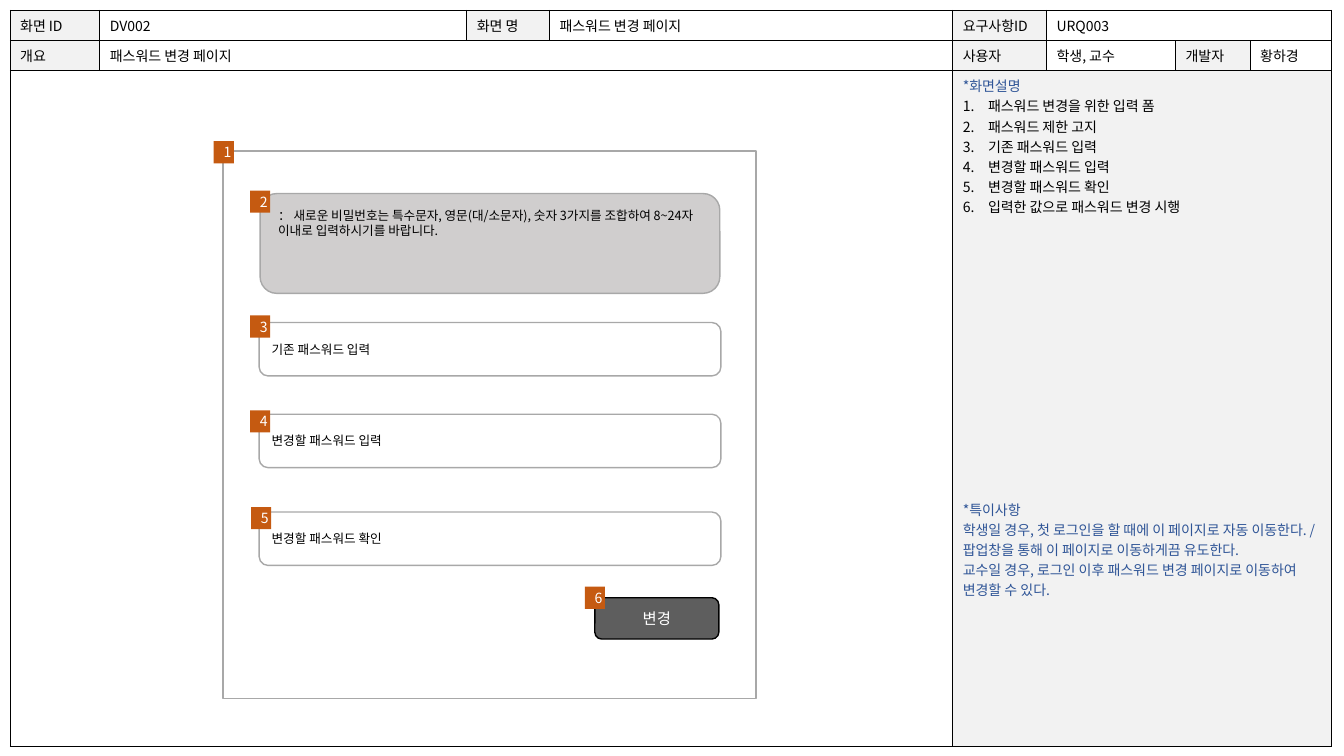
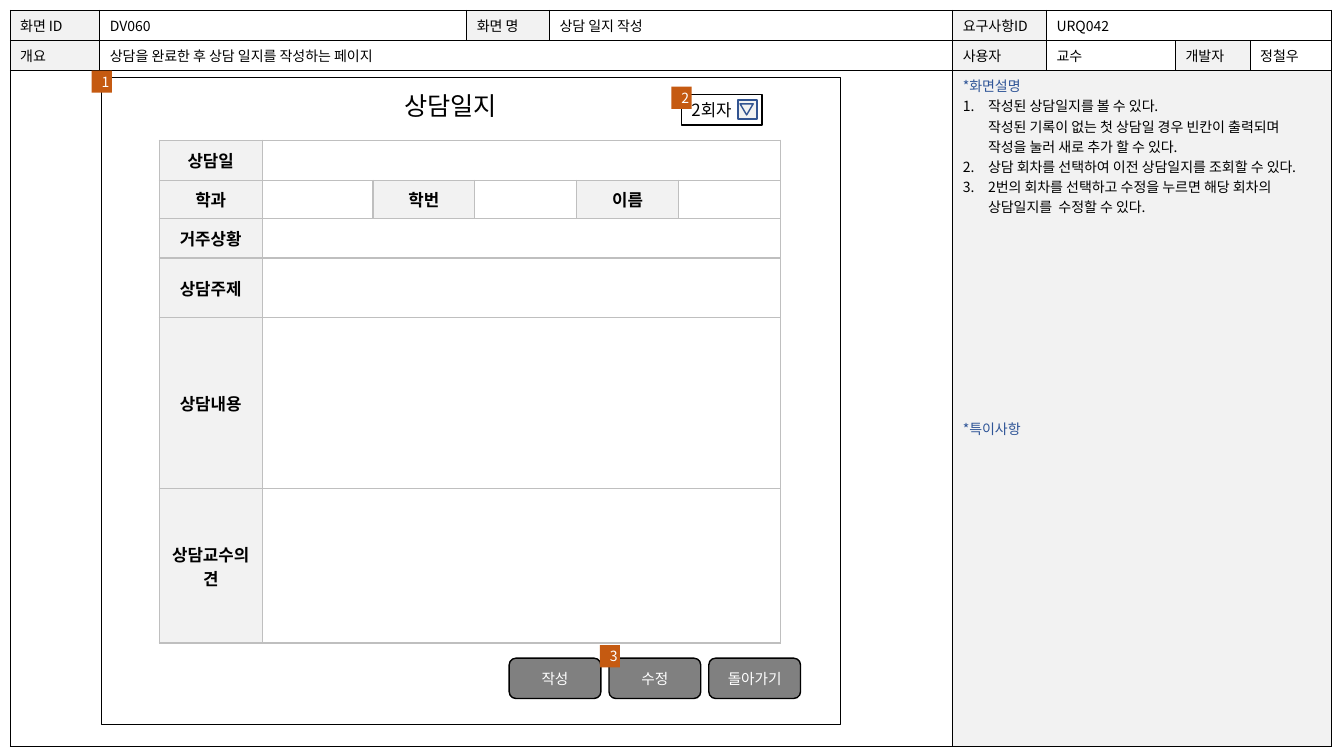
"""Build two screen-specification pages with a shared header grid and notes panel."""
import lxml.etree
import pptx
import pptx.dml.color
import pptx.enum.shapes
import pptx.enum.text
import pptx.oxml.ns
import pptx.util

SCALE = 9144
FONT = "Noto Sans CJK KR"
LINE_HEIGHT = 14.4

RGB = pptx.dml.color.RGBColor
BLACK = RGB(0x00, 0x00, 0x00)
WHITE = RGB(0xFF, 0xFF, 0xFF)
PANEL = RGB(0xF2, 0xF2, 0xF2)
NOTICE = RGB(0xD0, 0xCE, 0xCE)
OUTLINE = RGB(0xA8, 0xA8, 0xA8)
GRID = RGB(0xBF, 0xBF, 0xBF)
BLUE = RGB(0x2F, 0x55, 0x97)
ARROW_BLUE = RGB(0x32, 0x54, 0x91)
ORANGE = RGB(0xC5, 0x5A, 0x11)
DARK_BUTTON = RGB(0x5E, 0x5E, 0x5E)
GRAY_BUTTON = RGB(0x80, 0x80, 0x80)

SHAPE = pptx.enum.shapes.MSO_SHAPE
ALIGN = pptx.enum.text.PP_ALIGN
ANCHOR = pptx.enum.text.MSO_ANCHOR
FIT = pptx.enum.text.MSO_AUTO_SIZE

SPEC_COLUMNS = (89, 364, 82, 400, 93, 128, 74, 81)
SPEC_ROWS = (28, 29, 670)
SPEC_LABELS = {(0, 0): "화면 ID", (0, 2): "화면 명", (0, 4): "요구사항ID",
               (1, 0): "개요", (1, 4): "사용자", (1, 6): "개발자"}
SPEC_MERGES = ((0, 5, 7), (1, 1, 3), (2, 0, 3), (2, 4, 7))
NOTES_CELL = (2, 4)

JOURNAL_COLUMNS = (102, 110, 101, 101, 101, 101)
JOURNAL_ROWS = (40, 38, 39, 59, 170, 153)
JOURNAL_LABELS = {(0, 0): "상담일", (1, 0): "학과", (1, 2): "학번", (1, 4): "이름",
                  (2, 0): "거주상황", (3, 0): "상담주제", (4, 0): "상담내용",
                  (5, 0): "상담교수의견"}
JOURNAL_MERGES = tuple((row, 1, 5) for row in (0, 2, 3, 4, 5))


def px(*lengths):
    """Turn whole px lengths into EMU."""
    return [pptx.util.Emu(length * SCALE) for length in lengths]


def add_element(parent, tag, **attributes):
    """Append a DrawingML element with the given attributes."""
    return lxml.etree.SubElement(parent, pptx.oxml.ns.qn(tag), attributes)


def write(para, text, size=10, color=BLACK, bold=False, align=ALIGN.LEFT):
    """Put formatted text, with its line breaks, into a paragraph."""
    para.text = text
    para.alignment = align
    formats = {"size": pptx.util.Pt(size), "name": FONT, "bold": bold}
    for span in para.runs:
        for name, value in formats.items():
            setattr(span.font, name, value)
        span.font.color.rgb = color
        add_element(span.font._element, "a:ea", typeface=FONT)
    for line_break in para._p.findall(pptx.oxml.ns.qn("a:br")):
        add_element(line_break, "a:rPr", sz=str(size * 100))


def add_box(slide, kind, place, fill, line=None):
    """Add a preset shape with a plain fill and an optional outline."""
    box = slide.shapes.add_shape(kind, *px(*place))
    box.shadow.inherit = False
    box.fill.solid()
    box.fill.fore_color.rgb = fill
    if line is None:
        box.line.fill.background()
    else:
        box.line.color.rgb = line
        box.line.width = pptx.util.Pt(1)
    return box


def add_label_box(slide, kind, place, text, fill, line=None, **formats):
    """Add a preset shape with vertically centred text."""
    box = add_box(slide, kind, place, fill, line)
    box.text_frame.word_wrap = True
    box.text_frame.vertical_anchor = ANCHOR.MIDDLE
    write(box.text_frame.paragraphs[0], text, **formats)
    return box


def add_badges(slide, corners):
    """Number the screen parts with orange squares."""
    for number, corner in enumerate(corners, 1):
        add_label_box(slide, SHAPE.RECTANGLE, (*corner, 20, 22), str(number),
                      ORANGE, color=WHITE, align=ALIGN.CENTER)


def set_borders(cell, color, width):
    """Draw the four borders of a cell."""
    properties = cell._tc.get_or_add_tcPr()
    for side in ("a:lnL", "a:lnR", "a:lnT", "a:lnB"):
        line = add_element(properties, side, w=str(pptx.util.Pt(width)))
        fill = add_element(line, "a:solidFill")
        add_element(fill, "a:srgbClr", val=str(color))


def add_grid(slide, corner, columns, rows, merges, border, width):
    """Add a plain white table with merged row spans."""
    place = (*corner, sum(columns), sum(rows))
    table = slide.shapes.add_table(len(rows), len(columns), *px(*place)).table
    table.first_row = table.horz_banding = False
    for column, length in zip(table.columns, px(*columns)):
        column.width = length
    for row, length in zip(table.rows, px(*rows)):
        row.height = length
    for row, first, last in merges:
        table.cell(row, first).merge(table.cell(row, last))
    for cell in table.iter_cells():
        set_borders(cell, border, width)
        cell.fill.solid()
        cell.fill.fore_color.rgb = WHITE
        add_element(cell.text_frame.paragraphs[0]._p, "a:endParaRPr", sz="1000")
    return table


def fill_cells(table, texts, fill=WHITE, anchor=ANCHOR.TOP, **formats):
    """Write texts into cells given by row and column."""
    for position, text in texts.items():
        cell = table.cell(*position)
        cell.fill.fore_color.rgb = fill
        cell.vertical_anchor = anchor
        write(cell.text_frame.paragraphs[0], text, **formats)


def number_paragraph(para):
    """Give a paragraph an automatic number and a hanging indent."""
    properties = para._p.get_or_add_pPr()
    indent = pptx.util.Inches(0.25)
    properties.set("marL", str(indent))
    properties.set("indent", str(-indent))
    add_element(properties, "a:buAutoNum", type="arabicPeriod")


def fill_notes(cell, steps, gap_lines, remarks=()):
    """Write the numbered description and the remarks below it."""
    cell.fill.fore_color.rgb = PANEL
    frame = cell.text_frame
    write(frame.paragraphs[0], "*화면설명", color=BLUE)
    for step in steps:
        para = frame.add_paragraph()
        number_paragraph(para)
        write(para, step)
    heading = frame.add_paragraph()
    heading.space_before = pptx.util.Pt(gap_lines * LINE_HEIGHT)
    write(heading, "*특이사항", color=BLUE)
    for remark in remarks:
        write(frame.add_paragraph(), remark, color=BLUE)


def add_spec_page(deck, layout, values, **notes):
    """Add a slide with the shared specification grid."""
    slide = deck.slides.add_slide(deck.slide_layouts.get_by_name(layout))
    table = add_grid(slide, (10, 10), SPEC_COLUMNS, SPEC_ROWS, SPEC_MERGES, BLACK, 0.5)
    fill_cells(table, SPEC_LABELS, PANEL)
    fill_cells(table, values)
    fill_notes(table.cell(*NOTES_CELL), **notes)
    return slide


def add_password_page(deck):
    """Add the password change screen."""
    values = {(0, 1): "DV002", (0, 3): "패스워드 변경 페이지", (0, 5): "URQ003",
              (1, 1): "패스워드 변경 페이지", (1, 5): "학생, 교수", (1, 7): "황하경"}
    steps = ("패스워드 변경을 위한 입력 폼", "패스워드 제한 고지", "기존 패스워드 입력",
             "변경할 패스워드 입력", "변경할 패스워드 확인", "입력한 값으로 패스워드 변경 시행")
    remarks = ("학생일 경우, 첫 로그인을 할 때에 이 페이지로 자동 이동한다. / "
               "팝업창을 통해 이 페이지로 이동하게끔 유도한다.",
               "교수일 경우, 로그인 이후 패스워드 변경 페이지로 이동하여 변경할 수 있다.")
    slide = add_spec_page(deck, "Blank", values, steps=steps, gap_lines=14, remarks=remarks)
    add_box(slide, SHAPE.RECTANGLE, (221, 150, 529, 543), WHITE, OUTLINE)
    add_box(slide, SHAPE.ROUNDED_RECTANGLE, (258, 192, 456, 99), NOTICE, OUTLINE)
    notice = slide.shapes.add_textbox(*px(266, 201, 449, 40)).text_frame
    notice.word_wrap = True
    write(notice.paragraphs[0], "： 새로운 비밀번호는 특수문자, 영문(대/소문자), 숫자 3가지를 조합하여 "
          "8~24자 이내로 입력하시기를 바랍니다.", size=9)
    for top, text in zip((320, 411, 508), steps[2:5]):
        add_label_box(slide, SHAPE.ROUNDED_RECTANGLE, (257, top, 458, 53), text,
                      WHITE, OUTLINE, size=9)
    add_label_box(slide, SHAPE.ROUNDED_RECTANGLE, (590, 593, 123, 41), "변경",
                  DARK_BUTTON, BLACK, size=11, color=WHITE, align=ALIGN.CENTER)
    add_badges(slide, ((212, 140), (248, 189), (248, 313), (248, 407), (249, 503), (580, 582)))


def place_title(slide, place, text):
    """Move the title placeholder to the front at the given place."""
    title = slide.shapes.title
    for name, length in zip(("left", "top", "width", "height"), px(*place)):
        setattr(title, name, length)
    formats = {"word_wrap": False, "vertical_anchor": ANCHOR.TOP,
               "auto_size": FIT.SHAPE_TO_FIT_TEXT}
    for name, value in formats.items():
        setattr(title.text_frame, name, value)
    write(title.text_frame.paragraphs[0], text, size=18)
    title.element.getparent().append(title.element)


def add_round_selector(slide):
    """Add the drop-down that selects a counselling round."""
    add_label_box(slide, SHAPE.RECTANGLE, (676, 94, 80, 30), "2회자", WHITE, BLACK, size=12)
    add_box(slide, SHAPE.RECTANGLE, (732, 99, 19, 19), PANEL, ARROW_BLUE)
    arrow = add_box(slide, SHAPE.ISOSCELES_TRIANGLE, (734, 103, 13, 11), PANEL, ARROW_BLUE)
    arrow.rotation = 180


def add_journal_page(deck):
    """Add the counselling journal screen."""
    values = {(0, 1): "DV060", (0, 3): "상담 일지 작성", (0, 5): "URQ042",
              (1, 1): "상담을 완료한 후 상담 일지를 작성하는 페이지",
              (1, 5): "교수", (1, 7): "정철우"}
    steps = ("작성된 상담일지를 볼 수 있다.\v작성된 기록이 없는 첫 상담일 경우 빈칸이 출력되며\v"
             "작성을 눌러 새로 추가 할 수 있다.",
             "상담 회차를 선택하여 이전 상담일지를 조회할 수 있다.",
             "2번의 회차를 선택하고 수정을 누르면 해당 회차의 상담일지를  수정할 수 있다.")
    slide = add_spec_page(deck, "Title Only", values, steps=steps, gap_lines=10)
    add_box(slide, SHAPE.RECTANGLE, (101, 77, 733, 642), WHITE, BLACK)
    place_title(slide, (391, 85, 121, 40), "상담일지")
    table = add_grid(slide, (158, 139), JOURNAL_COLUMNS, JOURNAL_ROWS, JOURNAL_MERGES, GRID, 1)
    fill_cells(table, JOURNAL_LABELS, PANEL, ANCHOR.MIDDLE,
               size=12, bold=True, align=ALIGN.CENTER)
    for index, text in enumerate(("작성", "수정", "돌아가기")):
        add_label_box(slide, SHAPE.ROUNDED_RECTANGLE, (505 + 99 * index, 653, 91, 40), text,
                      GRAY_BUTTON, BLACK, size=10.5, color=WHITE, align=ALIGN.CENTER)
    add_round_selector(slide)
    add_badges(slide, ((91, 70), (666, 86), (595, 640)))


def main():
    """Build and save the deck."""
    deck = pptx.Presentation()
    deck.slide_width, deck.slide_height = px(1333, 750)
    add_password_page(deck)
    add_journal_page(deck)
    deck.save("out.pptx")


if __name__ == "__main__":
    main()
